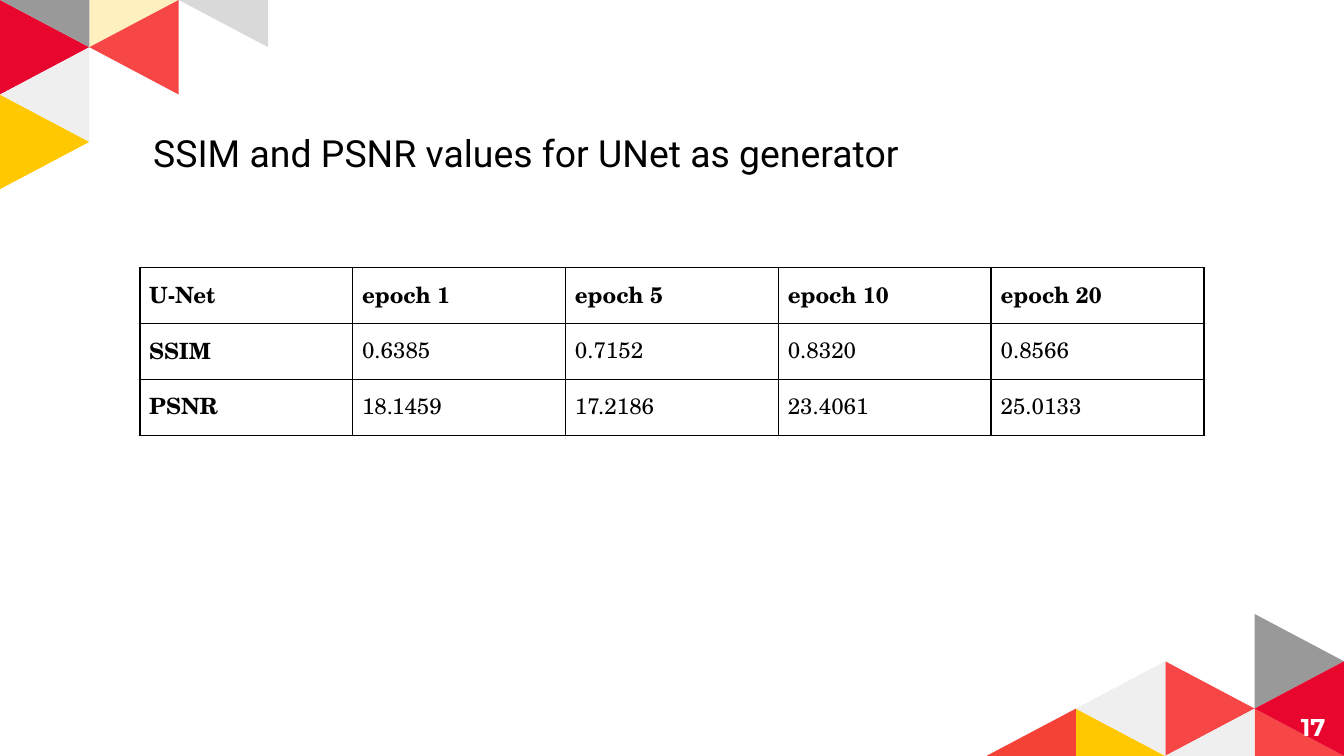
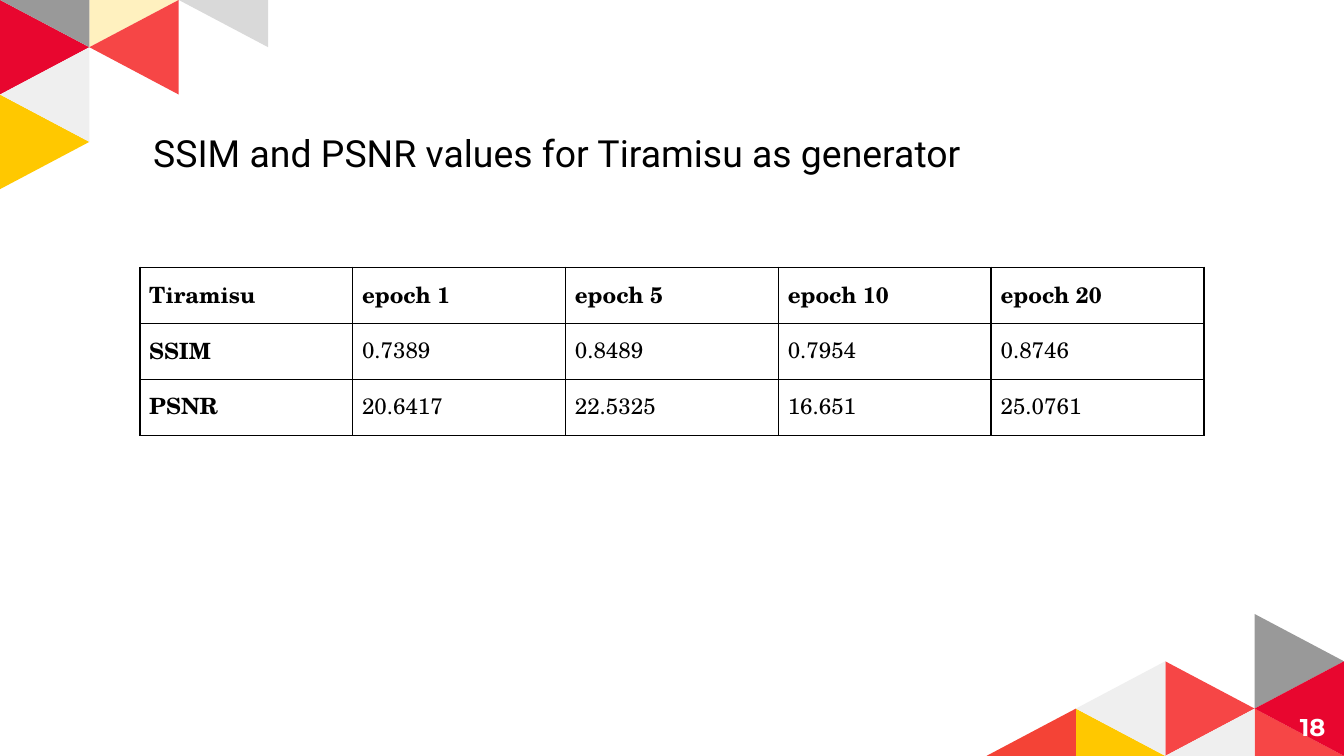
from pptx import Presentation
from pptx.dml.color import RGBColor as Rgb
from pptx.enum.text import MSO_ANCHOR as Anchor, MSO_AUTO_SIZE as Fit, PP_ALIGN as Align
from pptx.oxml.ns import qn
from pptx.util import Inches, Pt
from lxml.etree import SubElement as Sub

WIDE, HIGH = 10, 5.625
COL, ROW = 0.665, 0.352
HUES = {
    "black": "000000", "white": "FFFFFF", "red": "E8062F", "coral": "F64646",
    "scarlet": "F44336", "gold": "FFC800", "gray": "999999", "silver": "D9D9D9",
    "pale": "EFEFEF",
}
LOW = [
    ("gray", [(-1, -3), (-1, -1), (0, -2)], None),
    ("gold", [(-3, -1), (-3, 0), (-2, 0)], None),
    ("coral", [(-2, -2), (-2, 0), (-1, -1)], None),
    ("coral", [(-1, -1), (-1, 0), (0, 0)], None),
    ("pale", [(-2, -2), (-3, -1), (-2, 0)], None),
    ("pale", [(-1, -1), (-2, 0), (-1, 0)], None),
    ("red", [(0, -2), (-1, -1), (0, 0)], None),
    ("scarlet", [(-3, -1), (-4, 0), (-3, 0)], None),
]
TOP = [
    ("red", [(0, 0), (0, 2), (1, 1)], None),
    ("gold", [(0, 2), (0, 4), (1, 3)], None),
    ("gold", [(1, 0), (1, 1), (2, 0)], 25),
    ("pale", [(1, 1), (0, 2), (1, 3)], None),
    ("coral", [(2, 0), (1, 1), (2, 2)], None),
    ("gray", [(0, 0), (1, 1), (1, 0)], None),
    ("silver", [(3, 0), (3, 1), (2, 0)], None),
]
HEADS = ["epoch 1", "epoch 5", "epoch 10", "epoch 20"]
PAGES = [
    (17, "UNet", "U-Net",
     ["0.6385", "0.7152", "0.8320", "0.8566"],
     ["18.1459", "17.2186", "23.4061", "25.0133"]),
    (18, "Tiramisu", "Tiramisu",
     ["0.7389", "0.8489", "0.7954", "0.8746"],
     ["20.6417", "22.5325", "16.651", "25.0761"]),
]


class Deck:
    def __init__(self):
        self.file = Presentation()
        self.file.slide_width = Inches(WIDE)
        self.file.slide_height = Inches(HIGH)
        self.slide = None

    def page(self, num):
        self.slide = self.file.slides.add_slide(self.file.slide_layouts[5])
        self.mosaic(LOW, WIDE, HIGH)
        self.mosaic(TOP, 0, 0)
        self.number(num)

    def mosaic(self, tiles, left, top):
        group = self.slide.shapes.add_group_shape()
        for hue, ends, alpha in tiles:
            spots = [(Inches(left + c * COL), Inches(top + r * ROW)) for c, r in ends]
            pen = group.shapes.build_freeform(*spots[0])
            pen.add_line_segments(spots[1:], close=True)
            tile = pen.convert_to_shape()
            tile.shadow.inherit = False
            tile.fill.solid()
            tile.fill.fore_color.rgb = Rgb.from_string(HUES[hue])
            tile.line.fill.background()
            if alpha:
                tint = tile._element.spPr.find(".//" + qn("a:srgbClr"))
                Sub(tint, qn("a:alpha"), val=str(alpha * 1000))

    def add_text(self, para, text, font, size, hue="black", bold=False, align=Align.LEFT):
        para.alignment = align
        run = para.add_run()
        run.text = text
        run.font.name = font
        run.font.size = Pt(size)
        run.font.bold = bold
        run.font.color.rgb = Rgb.from_string(HUES[hue])

    def frame(self, shape, anchor):
        frame = shape.text_frame
        frame.word_wrap = True
        frame.auto_size = Fit.NONE
        frame.vertical_anchor = anchor
        frame.margin_left = frame.margin_right = Inches(0.1)
        frame.margin_top = frame.margin_bottom = Inches(0.1)
        return frame.paragraphs[0]

    def number(self, num):
        box = self.slide.shapes.add_textbox(
            Inches(9.36), Inches(5.19), Inches(0.6), Inches(0.43))
        self.add_text(self.frame(box, Anchor.MIDDLE), str(num), "Montserrat", 13,
                      "white", True, Align.RIGHT)

    def title(self, text):
        head = self.slide.shapes.title
        head.left, head.top = Inches(1.04), Inches(0.87)
        head.width, head.height = Inches(7.91), Inches(0.73)
        self.add_text(self.frame(head, Anchor.TOP), text, "Roboto", 20)

    def border(self, cell):
        props = cell._tc.get_or_add_tcPr()
        for side in ("lnL", "lnR", "lnT", "lnB"):
            line = Sub(props, qn("a:" + side), w=str(Pt(1)))
            Sub(Sub(line, qn("a:solidFill")), qn("a:srgbClr"), val=HUES["black"])

    def table(self, rows):
        grid = self.slide.shapes.add_table(
            len(rows), len(rows[0]), Inches(1.04), Inches(1.99),
            Inches(7.92), Inches(1.25)).table
        grid.first_row = grid.horz_banding = False
        for r, row in enumerate(rows):
            for c, text in enumerate(row):
                cell = grid.cell(r, c)
                cell.margin_left = cell.margin_right = Inches(0.07)
                cell.margin_top = cell.margin_bottom = Inches(0.07)
                self.border(cell)
                cell.fill.background()
                self.add_text(cell.text_frame.paragraphs[0], text,
                              "TeX Gyre Schola", 12, bold=r == 0 or c == 0)


def main():
    deck = Deck()
    for num, model, label, ssim, psnr in PAGES:
        deck.page(num)
        deck.title(f"SSIM and PSNR values for {model} as generator")
        deck.table([[label, *HEADS], ["SSIM", *ssim], ["PSNR", *psnr]])
    deck.file.save("out.pptx")


if __name__ == "__main__":
    main()
